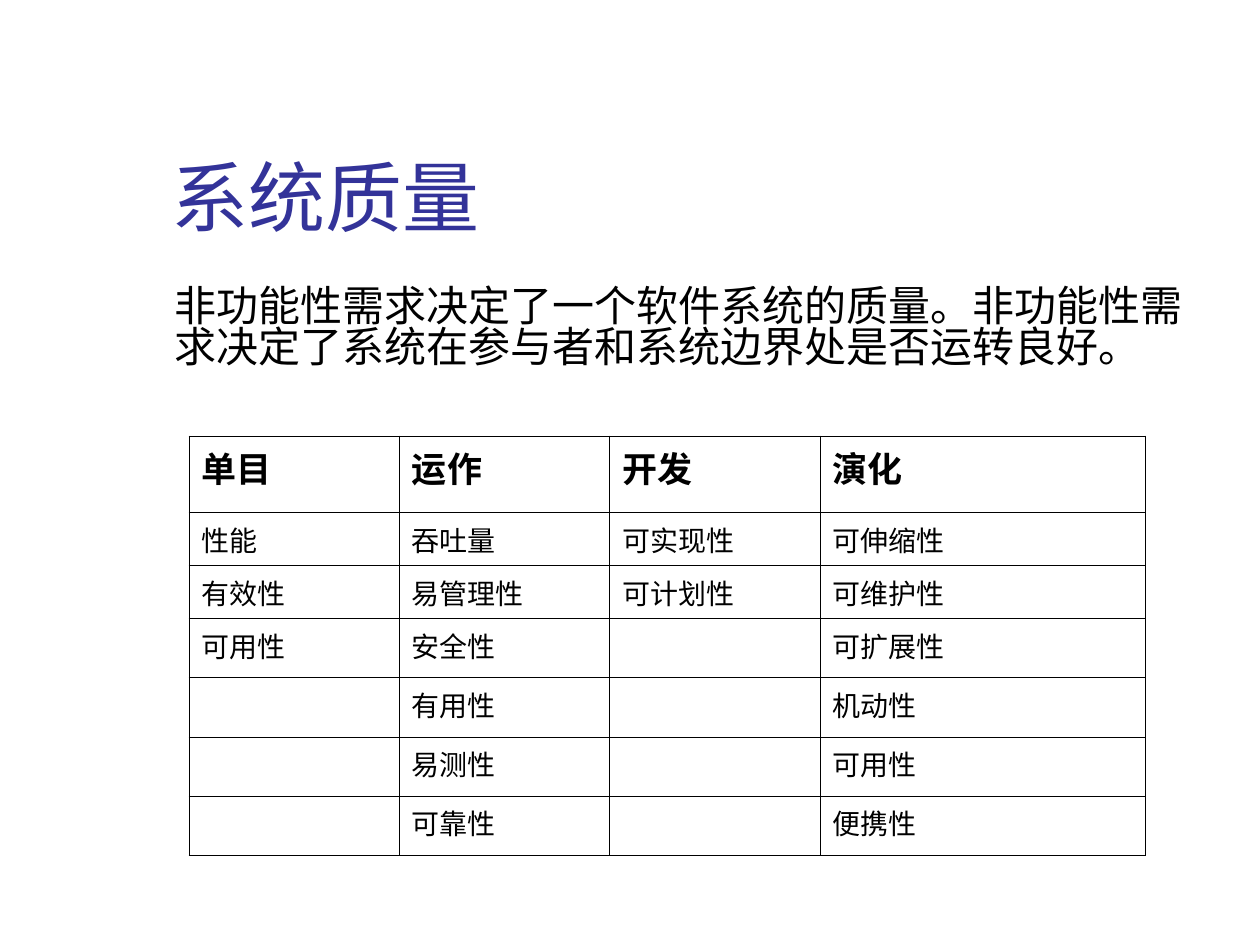
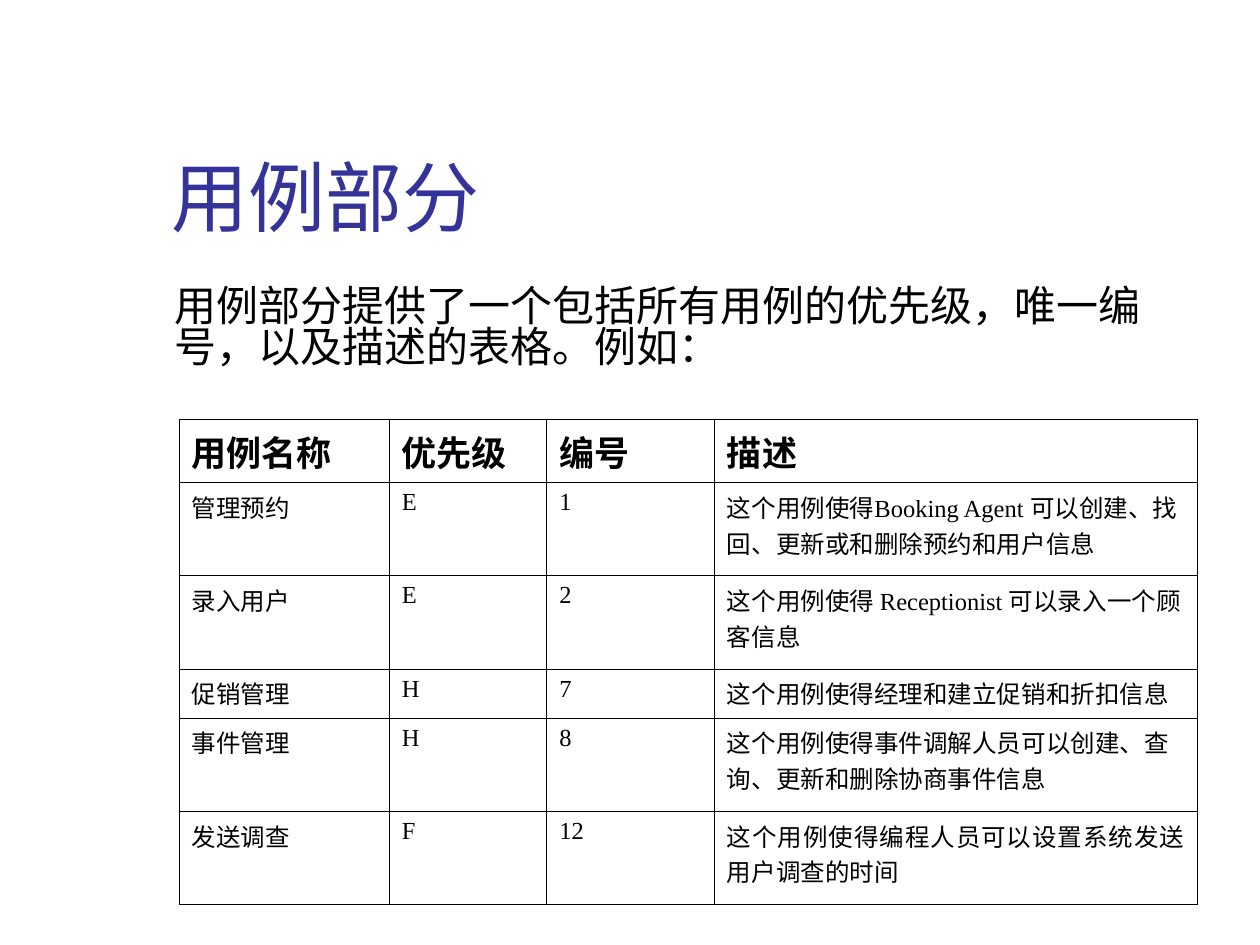
from dataclasses import dataclass

from lxml import etree
from pptx import Presentation, util as u
from pptx.dml.color import RGBColor
from pptx.enum import text
from pptx.oxml import ns

COLOURS = {"title": "333399", "body": "000000", "border": "000000"}
FONT = "Times New Roman"
BORDER_WIDTH = u.Pt(0.45)
BORDER_SIDES = ("a:lnL", "a:lnR", "a:lnT", "a:lnB")


@dataclass(frozen=True)
class TextStyle:
    size: float
    colour: str = "body"
    bold: bool = False
    line_spacing: float = 1.0


@dataclass(frozen=True)
class Frame:
    left: float
    top: float
    width: float
    height: float
    anchor: text.MSO_ANCHOR
    top_inset: float
    bottom_inset: float


@dataclass(frozen=True)
class Grid:
    left: float
    top: float
    columns: tuple[float, ...]
    row_heights: tuple[float, ...]
    rows: tuple[tuple[str, ...], ...]
    body_size: float
    justified: tuple[tuple[int, int], ...] = ()


@dataclass(frozen=True)
class TablePage:
    title: str
    intro: tuple[str, ...]
    grid: Grid


TITLE = TextStyle(44, "title")
INTRO = TextStyle(24, line_spacing=0.82)
HEADER = TextStyle(20, bold=True)
TITLE_FRAME = Frame(1.26, 0.67, 8.52, 1.25, text.MSO_ANCHOR.BOTTOM, 0.05, 0)
INTRO_FRAME = Frame(1.29, 2.21, 8.5, 0.96, text.MSO_ANCHOR.TOP, 0.08, 0.05)

QUALITY = TablePage(
    "系统质量",
    ("非功能性需求决定了一个软件系统的质量。非功能性需",
     "求决定了系统在参与者和系统边界处是否运转良好。"),
    Grid(
        1.5, 3.46, (1.67, 1.67, 1.67, 2.58),
        (0.61, 0.42, 0.42, 0.47, 0.47, 0.47, 0.47),
        (
            ("单目", "运作", "开发", "演化"),
            ("性能", "吞吐量", "可实现性", "可伸缩性"),
            ("有效性", "易管理性", "可计划性", "可维护性"),
            ("可用性", "安全性", "", "可扩展性"),
            ("", "有用性", "", "机动性"),
            ("", "易测性", "", "可用性"),
            ("", "可靠性", "", "便携性"),
        ),
        16,
    ),
)

USE_CASES = TablePage(
    "用例部分",
    ("用例部分提供了一个包括所有用例的优先级，唯一编",
     "号，以及描述的表格。例如："),
    Grid(
        1.42, 3.33, (1.67, 1.25, 1.33, 3.83),
        (0.5, 0.74, 0.74, 0.39, 0.74, 0.74),
        (
            ("用例名称", "优先级", "编号", "描述"),
            ("管理预约", "E", "1",
             "这个用例使得Booking Agent 可以创建、找回、更新或和删除预约和用户信息"),
            ("录入用户", "E", "2", "这个用例使得 Receptionist 可以录入一个顾客信息"),
            ("促销管理", "H", "7", "这个用例使得经理和建立促销和折扣信息"),
            ("事件管理", "H", "8",
             "这个用例使得事件调解人员可以创建、查询、更新和删除协商事件信息"),
            ("发送调查", "F", "12",
             "这个用例使得编程人员可以设置系统发送用户调查的时间"),
        ),
        14,
        justified=((5, 3),),
    ),
)


def style_paragraph(para, style: TextStyle) -> None:
    para.font.name = FONT
    para.font.size = u.Pt(style.size)
    para.font.bold = style.bold
    para.font.color.rgb = RGBColor.from_string(COLOURS[style.colour])
    para.line_spacing = style.line_spacing


def add_text(page, frame: Frame, lines: tuple[str, ...], style: TextStyle) -> None:
    box = page.shapes.add_textbox(
        u.Inches(frame.left), u.Inches(frame.top),
        u.Inches(frame.width), u.Inches(frame.height))
    body = box.text_frame
    body.word_wrap = True
    body.vertical_anchor = frame.anchor
    body.margin_top = u.Inches(frame.top_inset)
    body.margin_bottom = u.Inches(frame.bottom_inset)
    body.text = "\n".join(lines)
    for para in body.paragraphs:
        style_paragraph(para, style)


def add_borders(cell) -> None:
    properties = cell._tc.get_or_add_tcPr()
    for position, side in enumerate(BORDER_SIDES):
        line = etree.Element(ns.qn(side), w=str(int(BORDER_WIDTH)))
        fill = etree.SubElement(line, ns.qn("a:solidFill"))
        etree.SubElement(fill, ns.qn("a:srgbClr"), val=COLOURS["border"])
        properties.insert(position, line)


def add_grid(page, grid: Grid) -> None:
    table = page.shapes.add_table(
        len(grid.rows), len(grid.columns),
        u.Inches(grid.left), u.Inches(grid.top),
        u.Inches(sum(grid.columns)), u.Inches(sum(grid.row_heights))).table
    table.first_row = False
    table.horz_banding = False
    for column, width in zip(table.columns, grid.columns):
        column.width = u.Inches(width)
    for row, height in zip(table.rows, grid.row_heights):
        row.height = u.Inches(height)
    for row_index, values in enumerate(grid.rows):
        style = TextStyle(grid.body_size) if row_index else HEADER
        for column_index, value in enumerate(values):
            cell = table.cell(row_index, column_index)
            cell.fill.background()
            add_borders(cell)
            cell.text = value
            para = cell.text_frame.paragraphs[0]
            style_paragraph(para, style)
            if (row_index, column_index) in grid.justified:
                para.alignment = text.PP_ALIGN.JUSTIFY


def add_page(deck, content: TablePage) -> None:
    page = deck.slides.add_slide(deck.slide_layouts[6])
    add_text(page, TITLE_FRAME, (content.title,), TITLE)
    add_text(page, INTRO_FRAME, content.intro, INTRO)
    add_grid(page, content.grid)


def main() -> None:
    deck = Presentation()
    deck.slide_width = u.Inches(10)
    deck.slide_height = u.Inches(7.5)
    for content in (QUALITY, USE_CASES):
        add_page(deck, content)
    deck.save("out.pptx")


if __name__ == "__main__":
    main()
